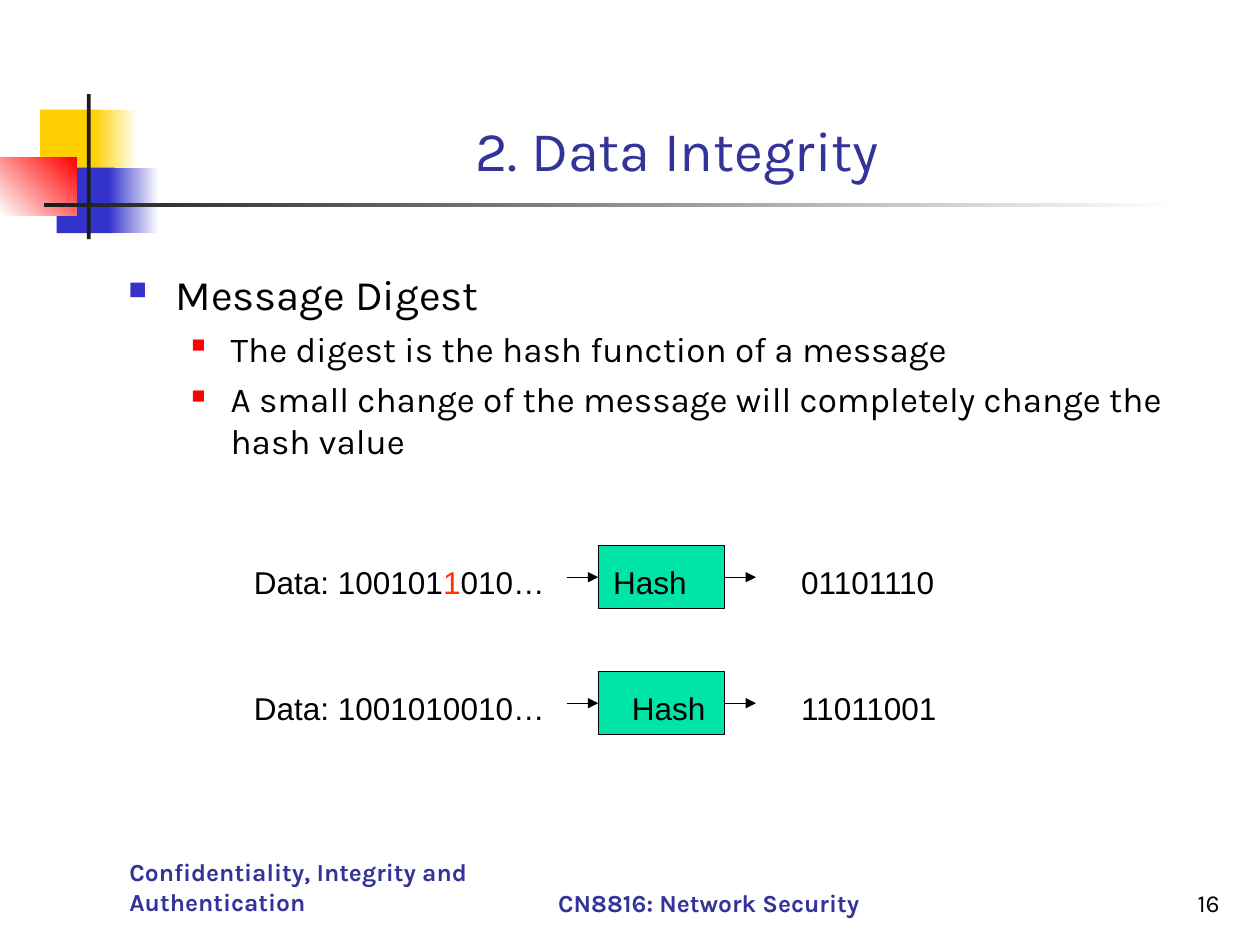
from lxml.etree import SubElement
from pptx import Presentation
from pptx.dml.color import RGBColor
from pptx.enum.shapes import MSO_CONNECTOR, MSO_SHAPE
from pptx.enum.text import MSO_ANCHOR, PP_ALIGN
from pptx.oxml.ns import qn
from pptx.util import Cm, Pt

BLACK = RGBColor(0x00, 0x00, 0x00)
WHITE = RGBColor(0xFF, 0xFF, 0xFF)
CHARCOAL = RGBColor(0x1C, 0x1C, 0x1C)
YELLOW = RGBColor(0xFF, 0xCF, 0x01)
BLUE = RGBColor(0x33, 0x33, 0xCC)
NAVY = RGBColor(0x33, 0x33, 0x99)
RED = RGBColor(0xFF, 0x00, 0x00)
ORANGE = RGBColor(0xFF, 0x33, 0x00)
GREEN = RGBColor(0x00, 0xE4, 0xA8)

# left, top, width, height in cm; colours (two make a gradient); angle
DECORATIONS = [
    ((0.81, 2.21, 1.22, 1.32), [YELLOW], 0),
    ((1.88, 2.21, 0.91, 1.32), [YELLOW, WHITE], 0),
    ((1.14, 3.38, 1.17, 1.32), [BLUE], 0),
    ((2.18, 3.38, 1.02, 1.32), [BLUE, WHITE], 0),
    ((0, 3.18, 1.55, 1.17), [WHITE, RED], 45),
    ((1.75, 1.9, 0.08, 2.92), [CHARCOAL], 0),
    ((0.89, 4.09, 22.86, 0.08), [CHARCOAL, WHITE], 0),
]
TITLE = "2. Data Integrity"
# text, size, left margin, hanging indent, space before, bullet colour, bullet %
BULLETS = [
    ("Message Digest", 24, 0.95, 0.95, 0, BLUE, 60),
    ("The digest is the hash function of a message", 20, 2.06, 0.79, 5, RED, 55),
    ("A small change of the message will completely change the hash value",
     20, 2.06, 0.79, 5, RED, 55),
]
# input runs, digest, left inset of the word in the hash box
HASH_ROWS = [
    ([("Data: 100101", BLACK), ("1", ORANGE), ("010…", BLACK)], "01101110", 0.3),
    ([("Data: 1001010010…", BLACK)], "11011001", 0.68),
]
FOOTERS = [
    ("Confidentiality, Integrity and Authentication", (2.36, 17.32, 7.62, 1.27),
     PP_ALIGN.LEFT, NAVY, True),
    ("CN8816: Network Security", (10.16, 17.35, 8.26, 1.27),
     PP_ALIGN.CENTER, NAVY, True),
    ("16", (19.56, 17.35, 5.28, 1.27), PP_ALIGN.RIGHT, BLACK, False),
]
ROW_TOP, ROW_PITCH = 11, 2.54
HASH_LEFT, HASH_WIDTH, HASH_HEIGHT = 12.06, 2.54, 1.27
ARROW_LENGTH = 0.64
TEXT_DROP = 0.36  # from the top of a hash box to the top of its text


def write(paragraph, text, font="Karla", size=18, color=BLACK, bold=False,
          align=PP_ALIGN.LEFT):
    paragraph.alignment = align
    run = paragraph.add_run()
    run.text = text
    run.font.name = font
    run.font.size = Pt(size)
    run.font.bold = bold
    run.font.color.rgb = color


def add_text_box(slide, box, anchor=MSO_ANCHOR.TOP):
    frame = slide.shapes.add_textbox(*map(Cm, box)).text_frame
    frame.word_wrap = True
    frame.vertical_anchor = anchor
    return frame


def add_rectangle(slide, box, colors, angle=0, outline=None):
    shape = slide.shapes.add_shape(MSO_SHAPE.RECTANGLE, *map(Cm, box))
    shape.shadow.inherit = False
    if len(colors) == 1:
        shape.fill.solid()
        shape.fill.fore_color.rgb = colors[0]
    else:
        shape.fill.gradient()
        shape.fill.gradient_angle = angle
        for stop, color in zip(shape.fill.gradient_stops, colors):
            stop.color.rgb = color
    if outline is None:
        shape.line.fill.background()
    else:
        shape.line.color.rgb = outline
        shape.line.width = Pt(0.75)
    return shape


def add_arrow(slide, left, middle):
    arrow = slide.shapes.add_connector(
        MSO_CONNECTOR.STRAIGHT, Cm(left), Cm(middle),
        Cm(left + ARROW_LENGTH), Cm(middle))
    arrow.line.color.rgb = BLACK
    arrow.line.width = Pt(0.75)
    SubElement(arrow.line._get_or_add_ln(), qn("a:tailEnd"), type="triangle")
    SubElement(arrow._element.spPr, qn("a:effectLst"))


def set_bullet(paragraph, margin, hanging, color, percent):
    properties = paragraph._p.get_or_add_pPr()
    properties.set("marL", str(Cm(margin)))
    properties.set("indent", str(-Cm(hanging)))
    bullet_color = SubElement(properties, qn("a:buClr"))
    SubElement(bullet_color, qn("a:srgbClr"), val=str(color))
    SubElement(properties, qn("a:buSzPct"), val=str(percent * 1000))
    SubElement(properties, qn("a:buChar"), char="■")


def add_bullets(slide):
    frame = add_text_box(slide, (2.34, 5.28, 22.22, 5.28))
    for index, (text, size, margin, hanging, before, color, percent) in enumerate(BULLETS):
        paragraph = frame.add_paragraph() if index else frame.paragraphs[0]
        set_bullet(paragraph, margin, hanging, color, percent)
        paragraph.space_before = Pt(before)
        write(paragraph, text, size=size)


def add_hash_row(slide, top, data_runs, digest, inset):
    shape = add_rectangle(slide, (HASH_LEFT, top, HASH_WIDTH, HASH_HEIGHT),
                          [GREEN], outline=BLACK)
    frame = shape.text_frame
    frame.vertical_anchor = MSO_ANCHOR.TOP
    frame.margin_left, frame.margin_top = Cm(inset), Cm(TEXT_DROP)
    frame.margin_right = frame.margin_bottom = 0
    write(frame.paragraphs[0], "Hash", font="Arial")

    middle = top + HASH_HEIGHT / 2
    add_arrow(slide, HASH_LEFT - ARROW_LENGTH, middle)
    add_arrow(slide, HASH_LEFT + HASH_WIDTH, middle)

    text_top = top + TEXT_DROP - 0.13
    data = add_text_box(slide, (4.87, text_top, 6.5, 1.02))
    for text, color in data_runs:
        write(data.paragraphs[0], text, font="Arial", color=color)
    output = add_text_box(slide, (15.9, text_top, 4, 1.02))
    write(output.paragraphs[0], digest, font="Arial")


def main():
    presentation = Presentation()
    presentation.slide_width, presentation.slide_height = Cm(25.4), Cm(19.05)
    slide = presentation.slides.add_slide(presentation.slide_layouts[6])

    for box, colors, angle in DECORATIONS:
        add_rectangle(slide, box, colors, angle)
    for text, box, align, color, bold in FOOTERS:
        frame = add_text_box(slide, box, MSO_ANCHOR.BOTTOM)
        write(frame.paragraphs[0], text, size=14, color=color, bold=bold, align=align)
    title = add_text_box(slide, (2.84, 0.84, 21.64, 2.97), MSO_ANCHOR.BOTTOM)
    write(title.paragraphs[0], TITLE, size=32, color=NAVY, align=PP_ALIGN.CENTER)
    add_bullets(slide)
    for index, row in enumerate(HASH_ROWS):
        add_hash_row(slide, ROW_TOP + index * ROW_PITCH, *row)

    presentation.save("out.pptx")


if __name__ == "__main__":
    main()
